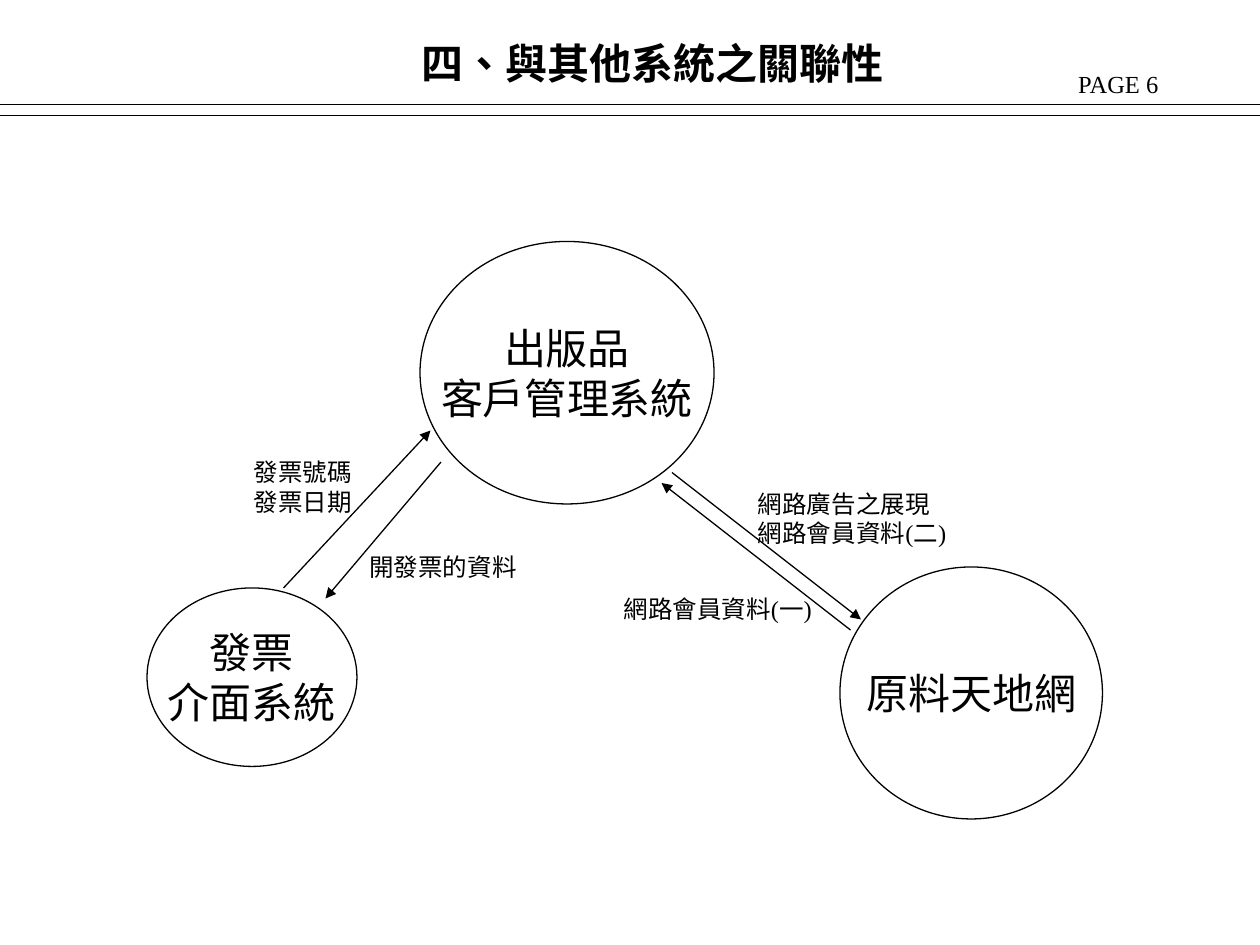
from lxml.etree import SubElement
from pptx import Presentation
from pptx.dml.color import RGBColor
from pptx.enum.lang import MSO_LANGUAGE_ID as Language
from pptx.enum.shapes import MSO_CONNECTOR as Connector, MSO_SHAPE as Shape
from pptx.enum.text import MSO_ANCHOR as Anchor, MSO_AUTO_SIZE as AutoSize, PP_ALIGN as Align
from pptx.oxml.ns import qn
from pptx.util import Inches, Pt

COLORS = {"ink": "000000"}
INK = RGBColor.from_string(COLORS["ink"])
SERIF, SANS = "Times New Roman", "Noto Sans CJK SC"
COLUMNS, ROWS = 120, 90
CELL = Inches(10) / COLUMNS


def cells(*counts):
    """Turn numbers of grid cells into slide lengths."""
    return [round(count * CELL) for count in counts]


def write(frame, lines, size, font=SERIF, bold=False, align=Align.LEFT, pitch=1.19):
    """Fill a frame; pitch is the line height as a share of the size, None for automatic."""
    for index, line in enumerate(lines):
        para = frame.paragraphs[0] if index == 0 else frame.add_paragraph()
        para.text = line
        para.alignment = align
        if pitch:
            para.line_spacing = Pt(size * pitch)
        para.font.name = font
        para.font.size = Pt(size)
        para.font.bold = bold
        para.font.color.rgb = INK
        para.font.language_id = Language.TRADITIONAL_CHINESE
        # Chinese characters take the East Asian typeface
        for properties in para._p.iter(qn("a:defRPr")):
            SubElement(properties, qn("a:ea"), typeface=SANS)


def add_label(page, place, lines, size=14, wrap=False, **style):
    frame = page.shapes.add_textbox(*cells(*place)).text_frame
    frame.word_wrap = wrap
    frame.auto_size = AutoSize.SHAPE_TO_FIT_TEXT
    write(frame, lines, size, **style)


def add_system(page, place, lines):
    circle = page.shapes.add_shape(Shape.OVAL, *cells(*place))
    circle.shadow.inherit = False
    circle.fill.background()
    circle.line.color.rgb = INK
    circle.line.width = Pt(0.75)
    frame = circle.text_frame
    frame.word_wrap = False
    frame.vertical_anchor = Anchor.MIDDLE
    write(frame, lines, 24, align=Align.CENTER)


def add_line(page, start, end, arrow=False):
    line = page.shapes.add_connector(Connector.STRAIGHT, *cells(*start, *end))
    line.line.color.rgb = INK
    line.line.width = Pt(0.75)
    if arrow:
        SubElement(line.line._get_or_add_ln(), qn("a:tailEnd"), type="triangle")
    SubElement(line._element.spPr, qn("a:effectLst"))


def main():
    deck = Presentation()
    deck.slide_width, deck.slide_height = cells(COLUMNS, ROWS)
    page = deck.slides.add_slide(deck.slide_layouts[6])

    add_label(page, (101.5, 6, 18.8, 4.1), ["PAGE 6"], pitch=None)
    add_label(page, (39, 3, 51, 6), ["四、與其他系統之關聯性"], 24,
              wrap=True, font=SANS, bold=True, pitch=None)
    for row in (9.98, 11):
        add_line(page, (0, row), (COLUMNS, row))

    add_system(page, (40, 23, 28, 25), ["出版品", "客戶管理系統"])
    add_system(page, (14, 56, 20, 17), ["發票", "介面系統"])
    add_system(page, (80, 54, 25, 24), ["原料天地網"])

    add_label(page, (71, 46, 23, 6.9), ["網路廣告之展現", "網路會員資料(二)"], wrap=True)
    add_label(page, (58.2, 56, 22, 4.1), ["網路會員資料(一)"])
    add_label(page, (34, 52, 16.6, 4.1), ["開發票的資料"])
    add_label(page, (23, 43, 12, 6.9), ["發票號碼", "發票日期"])

    flows = [
        ((42, 44), (31, 57)),
        ((64, 45), (82, 59)),
        ((81, 60), (63, 46)),
        ((27, 56), (41, 41)),
    ]
    for start, end in flows:
        add_line(page, start, end, arrow=True)

    deck.save("out.pptx")


if __name__ == "__main__":
    main()
